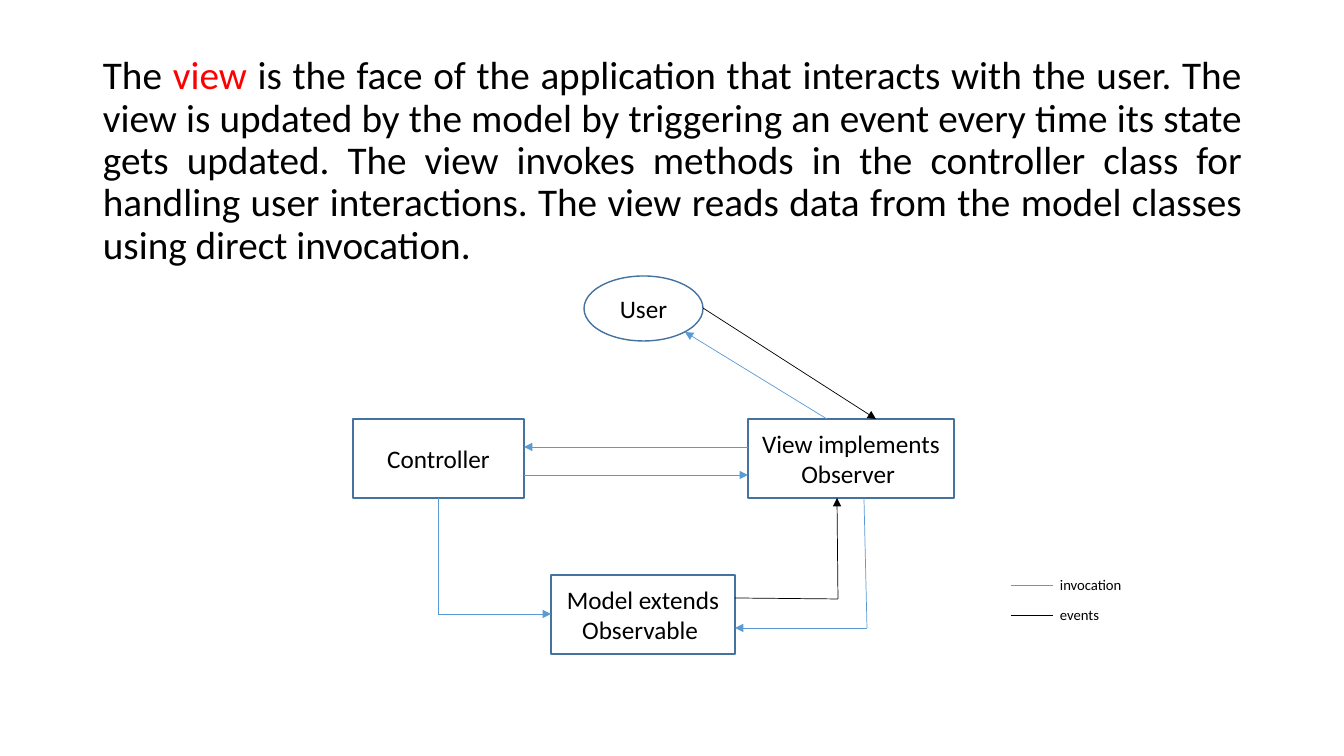
from collections import namedtuple
from dataclasses import dataclass
from itertools import pairwise

from lxml import etree
from pptx import Presentation
from pptx import util as u
from pptx.dml import color
from pptx.enum import shapes, text
from pptx.oxml import ns

SCALE = u.Inches(1) / 100.8
Box = namedtuple("Box", "left top width height")


@dataclass(frozen=True)
class Theme:
    """Colours, font and type sizes of the slide."""
    font: str = "Calibri"
    ink: str = "000000"
    accent: str = "FF0000"
    outline: str = "43739E"
    invocation: str = "5B9BD5"
    events: str = "000000"
    statement_size: float = 28
    node_size: float = 18
    legend_size: float = 10.5
    outline_width: float = 1
    arrow_width: float = 0.5


THEME = Theme()


def emu(*pixels):
    """Turn pixels into EMU."""
    return [u.Emu(round(pixel * SCALE)) for pixel in pixels]


def rgb(value):
    """Turn a hex string into a colour."""
    return color.RGBColor.from_string(value)


def apply(target, values):
    """Set each attribute from a dict of format values."""
    for name, value in values.items():
        setattr(target, name, value)


def inside(box, left, top, width, height):
    """Place a box relative to its region."""
    return Box(box.left + left, box.top + top, width, height)


def write(paragraph, wording, size, ink=THEME.ink):
    """Add a run in the theme font."""
    run = paragraph.add_run()
    run.text = wording
    apply(run.font, {"name": THEME.font, "size": u.Pt(size)})
    run.font.color.rgb = rgb(ink)


def draw_route(slide, box, points, ink, arrow=True):
    """Draw straight legs through the points, with an arrowhead at the end."""
    for start, end in pairwise(points):
        ends = [edge + step for point in (start, end)
                for edge, step in zip((box.left, box.top), point)]
        leg = slide.shapes.add_connector(shapes.MSO_CONNECTOR.STRAIGHT, *emu(*ends))
        leg.line.width = u.Pt(THEME.arrow_width)
        leg.line.color.rgb = rgb(ink)
        if arrow and end == points[-1]:
            etree.SubElement(leg.line._get_or_add_ln(), ns.qn("a:tailEnd"), type="triangle")
        etree.SubElement(leg._element.spPr, ns.qn("a:effectLst"))


def draw_node(slide, box, preset, lines):
    """Draw an outlined node with centred lines."""
    node = slide.shapes.add_shape(preset, *emu(*box))
    node.shadow.inherit = False
    node.fill.background()
    node.line.width = u.Pt(THEME.outline_width)
    node.line.color.rgb = rgb(THEME.outline)
    frame = node.text_frame
    apply(frame, {"word_wrap": True, "vertical_anchor": text.MSO_ANCHOR.MIDDLE})
    for index, line in enumerate(lines):
        paragraph = frame.add_paragraph() if index else frame.paragraphs[0]
        paragraph.alignment = text.PP_ALIGN.CENTER
        write(paragraph, line, THEME.node_size)


def add_statement(slide, box):
    """Write the justified paragraph about the view."""
    frame = slide.shapes.add_textbox(*emu(*box)).text_frame
    frame.word_wrap = True
    paragraph = frame.paragraphs[0]
    apply(paragraph, {"alignment": text.PP_ALIGN.JUSTIFY, "line_spacing": 0.9})
    for wording, ink in (
        ("The ", THEME.ink),
        ("view", THEME.accent),
        (" is the face of the application that interacts with the user. "
         "The view is updated by the model by triggering an event every time "
         "its state gets updated. The view invokes methods in the controller "
         "class for handling user interactions. The view reads data from the "
         "model classes using direct invocation.", THEME.ink),
    ):
        write(paragraph, wording, THEME.statement_size, ink)


def add_diagram(slide, box):
    """Draw the user, controller, view and model with their routes."""
    rectangle, ellipse = shapes.MSO_SHAPE.RECTANGLE, shapes.MSO_SHAPE.OVAL
    for place, preset, lines in (
        ((0, 143, 171, 79), rectangle, ["Controller"]),
        ((395, 143, 206, 79), rectangle, ["View implements Observer "]),
        ((231, 0, 119, 65), ellipse, ["User"]),
        ((198, 299, 184, 79), rectangle, ["Model extends", "Observable "]),
    ):
        draw_node(slide, inside(box, *place), preset, lines)
    for ink, routes in (
        (THEME.invocation, (
            [(511, 222), (514, 352), (382, 352)],
            [(395, 171), (171, 171)],
            [(171, 199), (395, 199)],
            [(85, 222), (85, 338), (198, 338)],
            [(474, 143), (332, 56)],
        )),
        (THEME.events, (
            [(382, 322), (485, 323), (484, 222)],
            [(350, 32), (523, 143)],
        )),
    ):
        for points in routes:
            draw_route(slide, box, points, ink)


def add_legend(slide, box):
    """List the two line colours in equal rows."""
    entries = (("invocation", THEME.invocation), ("events", THEME.events))
    row_height = box.height // len(entries)
    for row, (label, ink) in enumerate(entries):
        top = row * row_height
        middle = top + row_height // 2
        draw_route(slide, box, [(0, middle), (42, middle)], ink, arrow=False)
        place = inside(box, 49, top, box.width - 49, row_height)
        frame = slide.shapes.add_textbox(*emu(*place)).text_frame
        apply(frame, {"word_wrap": True, "vertical_anchor": text.MSO_ANCHOR.MIDDLE,
                      "margin_left": 0, "margin_right": 0,
                      "margin_top": 0, "margin_bottom": 0})
        write(frame.paragraphs[0], label, THEME.legend_size)


def build():
    """Build and save the slide."""
    deck = Presentation()
    width, height = emu(1344, 756)
    apply(deck, {"slide_width": width, "slide_height": height})
    slide = deck.slides.add_slide(deck.slide_layouts[6])
    add_statement(slide, Box(93, 51, 1159, 222))
    add_diagram(slide, Box(353, 276, 601, 378))
    add_legend(slide, Box(1011, 570, 130, 60))
    deck.save("out.pptx")


build()
